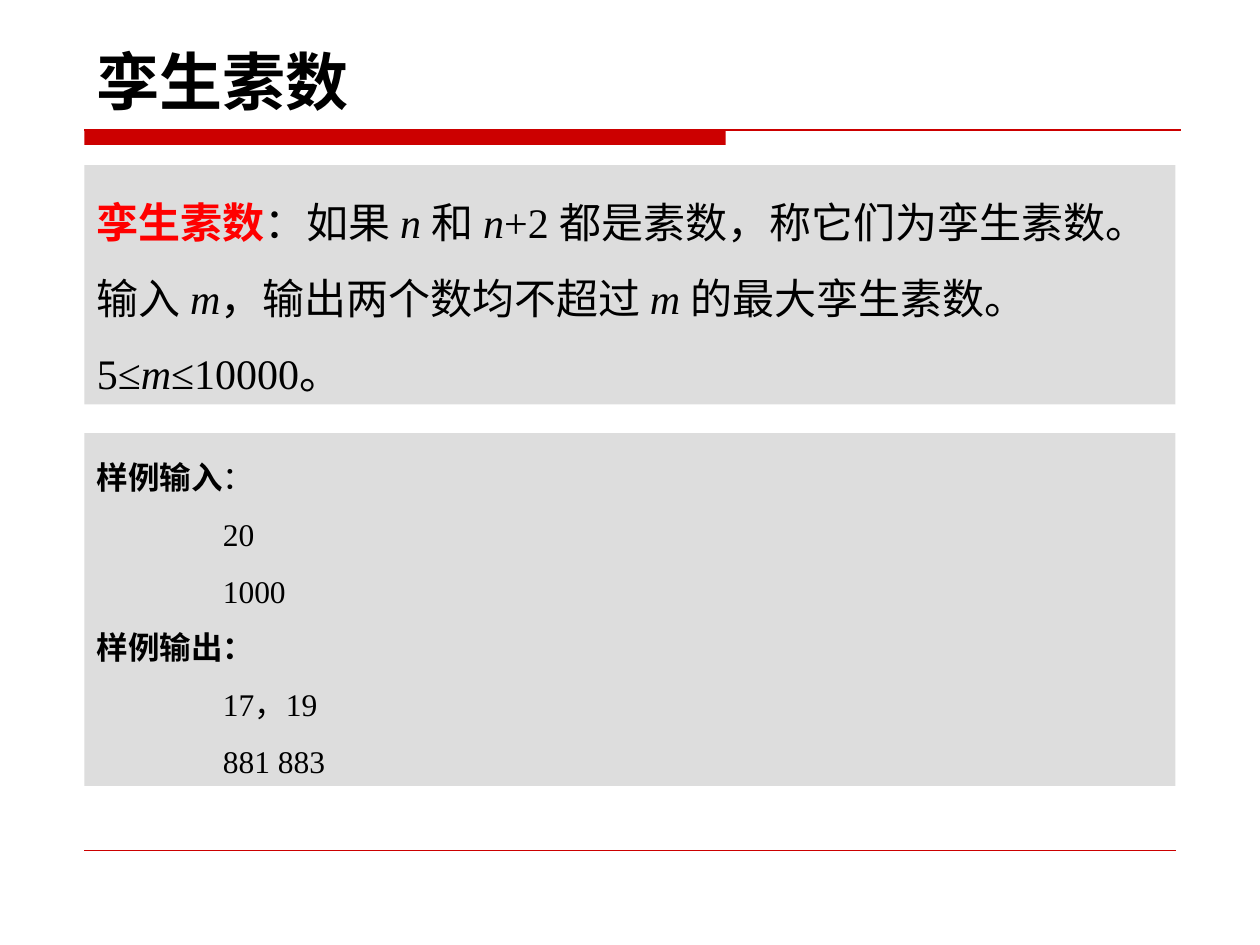
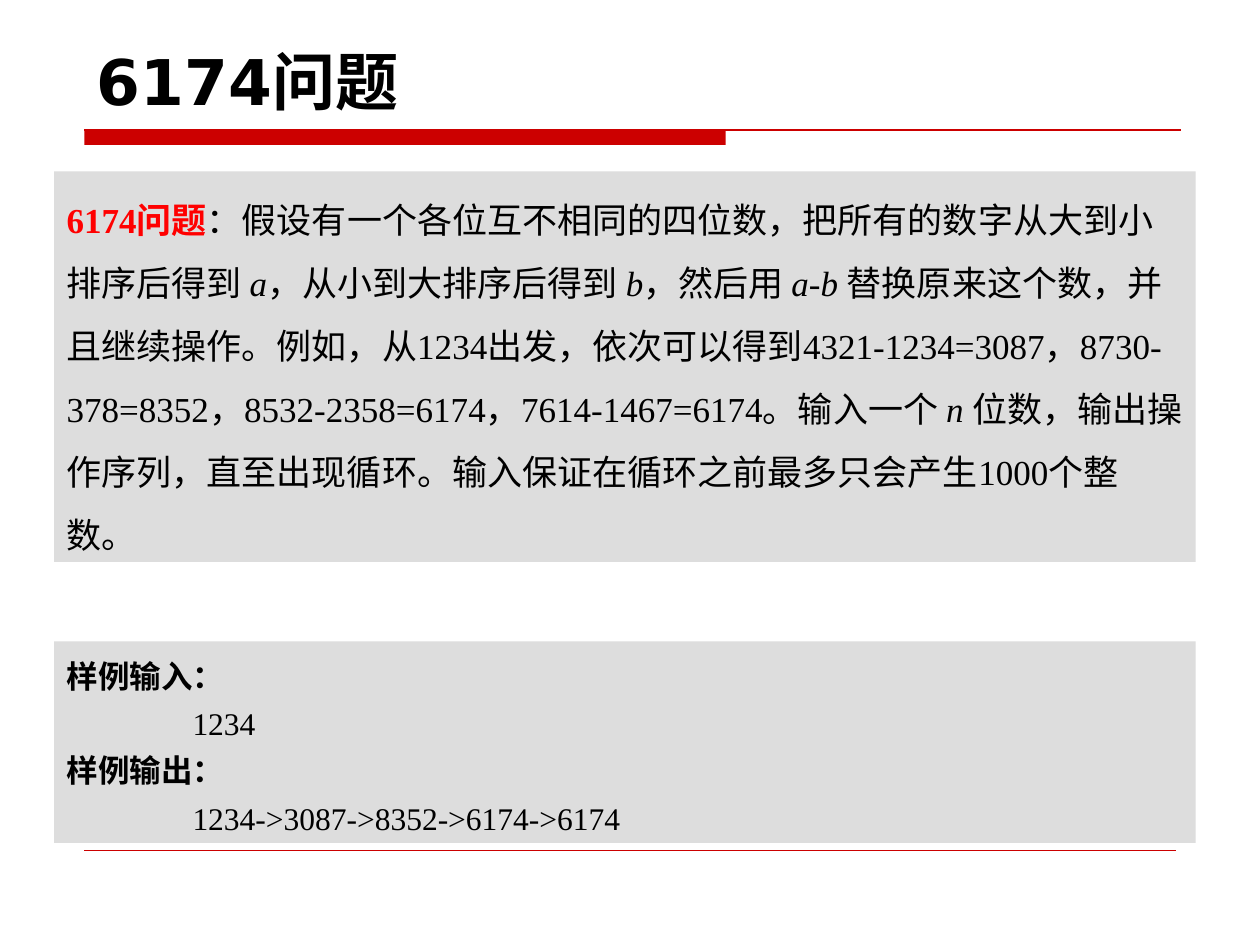
from lxml import etree
from pptx import Presentation
from pptx.dml.color import RGBColor
from pptx.enum.lang import MSO_LANGUAGE_ID
from pptx.enum.shapes import MSO_CONNECTOR, MSO_SHAPE
from pptx.enum.text import MSO_ANCHOR, MSO_AUTO_SIZE, PP_ALIGN
from pptx.oxml.ns import qn
from pptx.util import Inches, Pt

RECT = MSO_SHAPE.RECTANGLE
LINE = MSO_CONNECTOR.STRAIGHT
LEFT = PP_ALIGN.LEFT
TOP = MSO_ANCHOR.TOP
GROW = MSO_AUTO_SIZE.SHAPE_TO_FIT_TEXT
LANG = MSO_LANGUAGE_ID.SIMPLIFIED_CHINESE

BLACK = RGBColor(0x00, 0x00, 0x00)
RED = RGBColor(0xFF, 0x00, 0x00)
BAND = RGBColor(0xCC, 0x00, 0x00)
GRAY = RGBColor(0xDD, 0xDD, 0xDD)

WIDE, HIGH = Inches(10), Inches(7.5)
HEAD = "DejaVu Sans"
BODY = "Times New Roman"
EDGE = 6.7

PLAIN, BOLD, SLANT, TERM = range(4)


def across(share):
    return int(WIDE * share / 100)


def down(share):
    return int(HIGH * share / 100)


def place(left, top, width, height):
    return across(left), down(top), across(width), down(height)


def add_line(slide, left, right, top, weight):
    line = slide.shapes.add_connector(
        LINE, across(left), down(top), across(right), down(top))
    line.line.color.rgb = BAND
    line.line.width = Pt(weight)
    etree.SubElement(line._element.spPr, qn("a:effectLst"))
    line._element.remove(line._element.find(qn("p:style")))


def add_rect(slide, area, color):
    rect = slide.shapes.add_shape(RECT, *place(*area))
    rect.shadow.inherit = False
    rect.fill.solid()
    rect.fill.fore_color.rgb = color
    rect.line.fill.background()
    return rect


def set_tab(para):
    props = para._p.get_or_add_pPr()
    props.set("hangingPunct", "0")
    tabs = etree.SubElement(props, qn("a:tabLst"))
    etree.SubElement(tabs, qn("a:tab"), pos=str(Inches(1)), algn="l")


def write(shape, rows, name, size, space=None):
    frame = shape.text_frame
    frame.word_wrap = True
    frame.auto_size = GROW
    frame.vertical_anchor = TOP
    for index, row in enumerate(rows):
        para = frame.paragraphs[0] if index == 0 else frame.add_paragraph()
        para.alignment = LEFT
        para.line_spacing = space
        set_tab(para)
        for text, style in row:
            run = para.add_run()
            run.text = text
            font = run.font
            font.name = name
            font.size = Pt(size)
            font.language_id = LANG
            font.bold = style in (BOLD, TERM)
            font.italic = style == SLANT
            font.color.rgb = RED if style == TERM else BLACK


def add_page(deck, title):
    slide = deck.slides.add_slide(deck.slide_layouts[6])
    add_rect(slide, (EDGE, 13.73, 50.9, 1.6), BAND)
    add_line(slide, EDGE, 93.7, 13.75, 1)
    add_line(slide, EDGE, 100 - EDGE, 90, 0.25)
    box = slide.shapes.add_textbox(*place(EDGE, 3.83, 78.7, 9.33))
    write(box, [[(title, BOLD)]], HEAD, 36)
    return slide


def add_panel(slide, area, rows, size, space):
    write(add_rect(slide, area, GRAY), rows, BODY, size, space)


def label(text):
    return [(text, BOLD)]


def value(text):
    return [("\t" + text, PLAIN)]


def add_twins(deck):
    slide = add_page(deck, "孪生素数")
    task = [
        ("孪生素数", TERM), ("：如果 ", PLAIN), ("n ", SLANT), ("和 ", PLAIN),
        ("n", SLANT), ("+2 都是素数，称它们为孪生素数。输入 ", PLAIN),
        ("m", SLANT), ("，输出两个数均不超过 ", PLAIN), ("m ", SLANT),
        ("的最大孪生素数。5≤", PLAIN), ("m", SLANT), ("≤10000。", PLAIN),
    ]
    sample = [
        label("样例输入") + [("：", PLAIN)], value("20"), value("1000"),
        label("样例输出："), value("17，19"), value("881 883"),
    ]
    add_panel(slide, (EDGE, 17.47, 86.6, 25.33), [task], 24, 1.5)
    add_panel(slide, (EDGE, 45.83, 86.6, 37.33), sample, 18, 1.5)


def add_cycle(deck):
    slide = add_page(deck, "6174问题")
    task = [
        ("6174问题", TERM),
        ("：假设有一个各位互不相同的四位数，把所有的数字从大到小排序后得到 ", PLAIN),
        ("a", SLANT), ("，从小到大排序后得到 ", PLAIN), ("b", SLANT),
        ("，然后用 ", PLAIN), ("a", SLANT), ("-", PLAIN), ("b ", SLANT),
        ("替换原来这个数，并且继续操作。例如，从1234出发，依次可以得到"
         "4321-1234=3087，8730-378=8352，8532-2358=6174，"
         "7614-1467=6174。输入一个 ", PLAIN),
        ("n ", SLANT),
        ("位数，输出操作序列，直至出现循环。"
         "输入保证在循环之前最多只会产生1000个整数。", PLAIN),
    ]
    sample = [
        label("样例输入："), value("1234"),
        label("样例输出："), value("1234->3087->8352->6174->6174"),
    ]
    add_panel(slide, (4.3, 18.13, 90.6, 41.33), [task], 20, 1.5)
    add_panel(slide, (4.3, 67.87, 90.6, 21.33), sample, 18, 1.25)


def main():
    deck = Presentation()
    deck.slide_width, deck.slide_height = WIDE, HIGH
    add_twins(deck)
    add_cycle(deck)
    deck.save("out.pptx")


if __name__ == "__main__":
    main()
